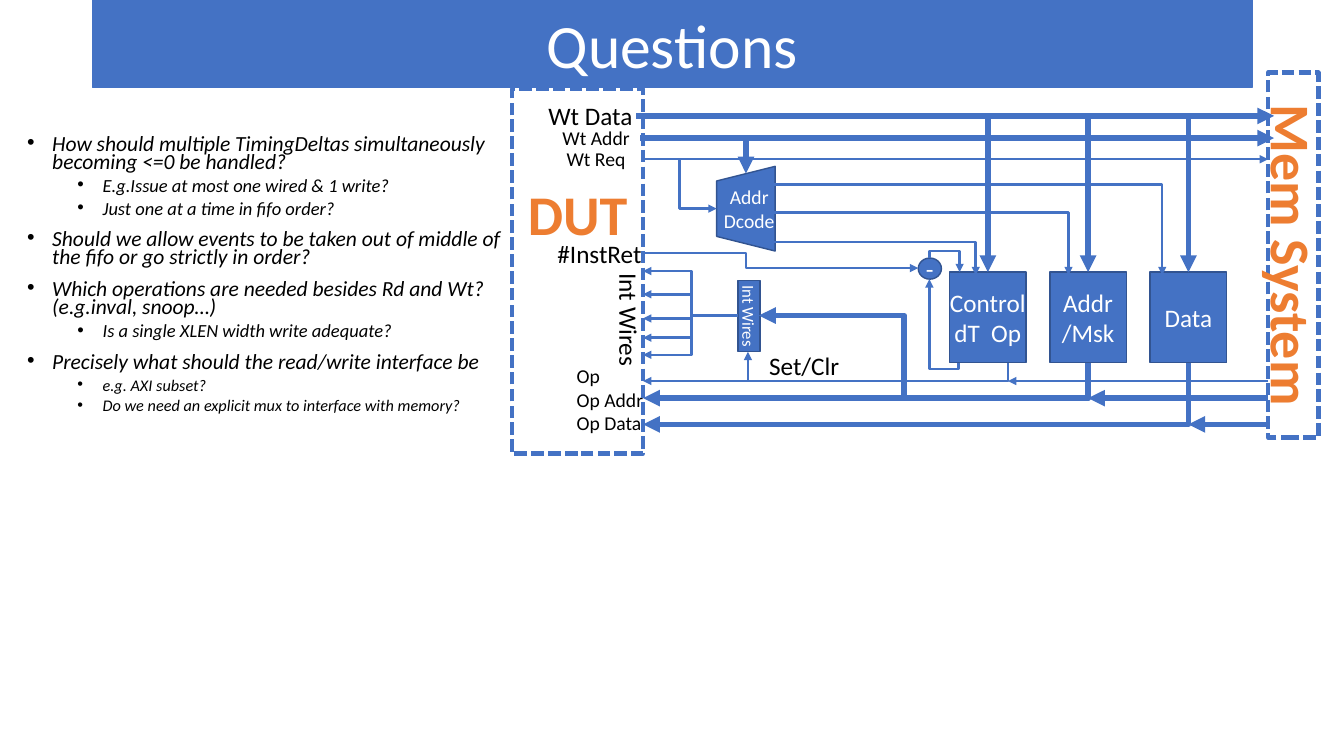
from lxml import etree
from pptx import Presentation
from pptx.dml.color import RGBColor
from pptx.enum.dml import MSO_LINE
from pptx.enum.shapes import MSO_CONNECTOR, MSO_SHAPE
from pptx.enum.text import MSO_ANCHOR, PP_ALIGN
from pptx.oxml.ns import qn
from pptx.util import Inches, Pt

RECTANGLE, ELLIPSE, TRAPEZOID = MSO_SHAPE.RECTANGLE, MSO_SHAPE.OVAL, MSO_SHAPE.TRAPEZOID
STRAIGHT, ELBOW = MSO_CONNECTOR.STRAIGHT, MSO_CONNECTOR.ELBOW
LEFT, CENTER = PP_ALIGN.LEFT, PP_ALIGN.CENTER
TOP, MIDDLE = MSO_ANCHOR.TOP, MSO_ANCHOR.MIDDLE
DOTTED = MSO_LINE.SQUARE_DOT

BLUE, NAVY, ORANGE, WHITE, BLACK = "4472C4", "325491", "ED7D31", "FFFFFF", "000000"
THIN, THICK = 1.75, 4
COLUMNS, ROWS = 133.33, 75


def cells(count):
    """Length of a number of grid cells, ten to the inch."""
    return Inches(count / 10)


def color(hex_string):
    """Colour from a hex string."""
    return RGBColor.from_string(hex_string)


class Diagram:
    """Style and current slide, with a method for each kind of element."""

    def __init__(self, slide, font="Calibri"):
        self.shapes = slide.shapes
        self.font = font

    def set_text(self, shape, text, size, ink, align=LEFT, anchor=TOP, bold=False,
                 vertical=False, bottom=0):
        """Fill a shape with text in one style, without side insets."""
        frame = shape.text_frame
        frame.text = text
        frame.word_wrap = True
        frame.vertical_anchor = anchor
        frame.margin_left = frame.margin_right = frame.margin_top = 0
        frame.margin_bottom = cells(bottom)
        if vertical:
            frame._txBody.bodyPr.set("vert", "vert")
        for paragraph in frame.paragraphs:
            paragraph.alignment = align
            self.style(paragraph, size, ink, bold=bold)

    def style(self, paragraph, size, ink, bold=False, italic=False):
        """Format the runs of a paragraph."""
        for run in paragraph.runs:
            font = run.font
            font.name, font.size = self.font, Pt(size)
            font.bold, font.italic = bold, italic
            font.color.rgb = color(ink)

    def block(self, kind, box, text, size, turn=0, edge=NAVY, **text_style):
        """Blue shape with centred white text."""
        shape = self.shapes.add_shape(kind, *map(cells, box))
        shape.shadow.inherit = False
        shape.rotation = turn
        shape.fill.solid()
        shape.fill.fore_color.rgb = color(BLUE)
        shape.line.color.rgb = color(edge)
        shape.line.width = Pt(1)
        self.set_text(shape, text, size, WHITE, CENTER, MIDDLE, **text_style)

    def frame(self, box, text, **text_style):
        """Dotted outline with a large orange name."""
        shape = self.shapes.add_shape(RECTANGLE, *map(cells, box))
        shape.shadow.inherit = False
        shape.fill.background()
        shape.line.color.rgb = color(BLUE)
        shape.line.width = Pt(3)
        shape.line.dash_style = DOTTED
        self.set_text(shape, text, 40, ORANGE, CENTER, MIDDLE, bold=True, **text_style)

    def label(self, box, text, size=18, turn=0):
        """Plain black text."""
        shape = self.shapes.add_textbox(*map(cells, box))
        shape.rotation = turn
        self.set_text(shape, text, size, BLACK)

    def bullets(self, box, items):
        """Italic bullet list from (level, size, text) items."""
        frame = self.shapes.add_textbox(*map(cells, box)).text_frame
        frame.word_wrap = True
        frame.text = "\n".join(text for _, _, text in items)
        for paragraph, (level, size, _) in zip(frame.paragraphs, items):
            paragraph.level = level
            paragraph.line_spacing = 0.7
            paragraph.space_before = Pt(5 if level else 10)
            self.style(paragraph, size, BLACK, italic=True)
            properties = paragraph._p.get_or_add_pPr()
            properties.set("marL", str(cells(2.5 + 5 * level)))
            properties.set("indent", str(-cells(2.5)))
            etree.SubElement(properties, qn("a:buFont")).set("typeface", "Arial")
            etree.SubElement(properties, qn("a:buChar")).set("char", "•")

    def wire(self, weight, *points):
        """Arrow through right-angled points, as one connector."""
        (x0, y0), (x1, y1) = points[0], points[-1]
        middle_x, middle_y = (x0 + x1) / 2, (y0 + y1) / 2
        bent = len(points) > 2
        turned = bent and points[0][0] == points[1][0]
        if turned:  # lay the route on its side, then rotate it by 90 degrees
            points = [(middle_x + y - middle_y, middle_y - x + middle_x) for x, y in points]
        start, end = points[0], points[-1]
        connector = self.shapes.add_connector(
            ELBOW if bent else STRAIGHT, *map(cells, start + end))
        connector.line.color.rgb = color(BLUE)
        connector.line.width = Pt(weight)
        properties = connector._element.spPr
        if turned:
            properties.find(qn("a:xfrm")).set("rot", "5400000")
        if bent:
            geometry = properties.find(qn("a:prstGeom"))
            geometry.set("prst", f"bentConnector{len(points) - 1}")
            guides = geometry.find(qn("a:avLst"))
            for number, point in enumerate(points[1:-2]):
                axis = number % 2
                share = (point[axis] - start[axis]) / (end[axis] - start[axis])
                guide = etree.SubElement(guides, qn("a:gd"))
                guide.set("name", f"adj{number + 1}")
                guide.set("fmla", f"val {round(share * 100000)}")
        etree.SubElement(connector.line._get_or_add_ln(), qn("a:tailEnd")).set("type", "triangle")
        etree.SubElement(properties, qn("a:effectLst"))


presentation = Presentation()
presentation.slide_width, presentation.slide_height = cells(COLUMNS), cells(ROWS)
diagram = Diagram(presentation.slides.add_slide(presentation.slide_layouts[6]))

diagram.block(RECTANGLE, (9.2, 0, 115, 8.7), "Questions", 44, edge=BLUE)
diagram.bullets((1.7, 13.1, 49.6, 32.7), [
    (0, 15.4, "How should multiple TimingDeltas simultaneously becoming <=0 be handled?"),
    (1, 13.2, "E.g.Issue at most one wired & 1 write?"),
    (1, 13.2, "Just one at a time in fifo order?"),
    (0, 15.4, "Should we allow events to be taken out of middle of the fifo or go strictly in order?"),
    (0, 15.4, "Which operations are needed besides Rd and Wt? (e.g.inval, snoop…)"),
    (1, 13.2, "Is a single XLEN width write adequate?"),
    (0, 15.4, "Precisely what should the read/write interface be"),
    (1, 11.6, "e.g. AXI subset?"),
    (1, 11.6, "Do we need an explicit mux to interface with memory?"),
])

# Rows of the buses, columns of the two sides and of the registers
WRITE_DATA, WRITE_ADDRESS, WRITE_REQUEST = 11.5, 13.7, 15.8
OP, OP_ADDRESS, OP_DATA = 37.8, 39.5, 42.1
DUT_SIDE, MEMORY_SIDE = 63.8, 125.8
REGISTER_TOP, REGISTER_BOTTOM = 27, 36
REGISTER_WIDTH, PITCH = 7.6, 9.95
centers = [98 + PITCH * number for number in range(3)]
control, address, data = centers

for center, name in zip(centers, ("Control\ndT  Op", "Addr\n/Msk", "Data")):
    diagram.block(RECTANGLE, (center - REGISTER_WIDTH / 2, REGISTER_TOP, REGISTER_WIDTH,
                              REGISTER_BOTTOM - REGISTER_TOP), name, 18)
    diagram.wire(THICK, (63.1, WRITE_DATA), (center, WRITE_DATA), (center, REGISTER_TOP))
diagram.block(TRAPEZOID, (69.8, 17.8, 8.4, 5.8), "Addr Dcode", 14, turn=270, vertical=True)
diagram.block(RECTANGLE, (73.2, 27.8, 2.2, 7.1), "Int Wires", 12, vertical=True)
diagram.block(ELLIPSE, (91.1, 25.6, 2.3, 2.1), "-", 18)

# Write side
diagram.wire(THICK, (63.1, WRITE_DATA), (126.4, WRITE_DATA))
diagram.wire(THICK, (63.5, WRITE_ADDRESS), (126.4, WRITE_ADDRESS))
diagram.wire(THICK, (63.5, WRITE_ADDRESS), (74, WRITE_ADDRESS), (74, 17.2))
diagram.wire(THIN, (DUT_SIDE, WRITE_REQUEST), (MEMORY_SIDE, WRITE_REQUEST))
diagram.wire(THIN, (DUT_SIDE, WRITE_REQUEST), (67.4, WRITE_REQUEST), (67.4, 20.7), (71.1, 20.7))
for row, column in ((24, 96.8), (21.1, 106), (18.3, 115.3)):
    diagram.wire(THIN, (76.8, row), (column, row), (column, 27.3))

# Instruction counter
diagram.wire(THIN, (DUT_SIDE, 25.1), (74, 25.1), (74, 26.6), (91.1, 26.6))
diagram.wire(THIN, (92.2, 25.6), (92.2, 24.9), (95.2, 24.9), (95.2, REGISTER_TOP))
diagram.wire(THIN, (95.1, REGISTER_BOTTOM), (95.1, 36.6), (92.2, 36.6), (92.2, 27.7))

# Interrupts
for row in (26.9, 29.2, 31.6, 33.5, 35.2):
    diagram.wire(THIN, (73.2, 31.3), (68.6, 31.3), (68.6, row), (DUT_SIDE, row))
diagram.wire(THICK, (address, REGISTER_BOTTOM), (address, OP_ADDRESS), (89.7, OP_ADDRESS),
             (89.7, 31.3), (75.3, 31.3))
diagram.wire(THIN, (100, REGISTER_BOTTOM), (100, OP), (74.2, OP), (74.2, 34.9))

# Operation side
for column, row, weight in ((100, OP, THIN), (address, OP_ADDRESS, THICK),
                            (data, OP_DATA, THICK)):
    diagram.wire(weight, (column, REGISTER_BOTTOM), (column, row), (DUT_SIDE, row))
    diagram.wire(weight, (MEMORY_SIDE, row), (column, row))

diagram.label((54.4, 9.9, 8.7, 3.1), "Wt Data")
diagram.label((55.8, 12.5, 7.7, 2.4), "Wt Addr", 14)
diagram.label((56.2, 14.6, 7.5, 2.3), "Wt Req", 14)
diagram.label((55.3, 23.6, 8.6, 3), "#InstRet")
diagram.label((57.2, 30.9, 10.5, 3), "Int Wires", turn=90)
diagram.label((76.3, 34.8, 8.4, 3), "Set/Clr")
diagram.label((57.2, 36.1, 7.7, 7.1), "Op\nOp Addr\nOp Data", 14)

diagram.frame((50.8, 8.8, 13, 36.2), "DUT", bottom=11.6)
diagram.frame((MEMORY_SIDE, 7.2, 5, 36.2), "Mem System", vertical=True)

presentation.save("out.pptx")
